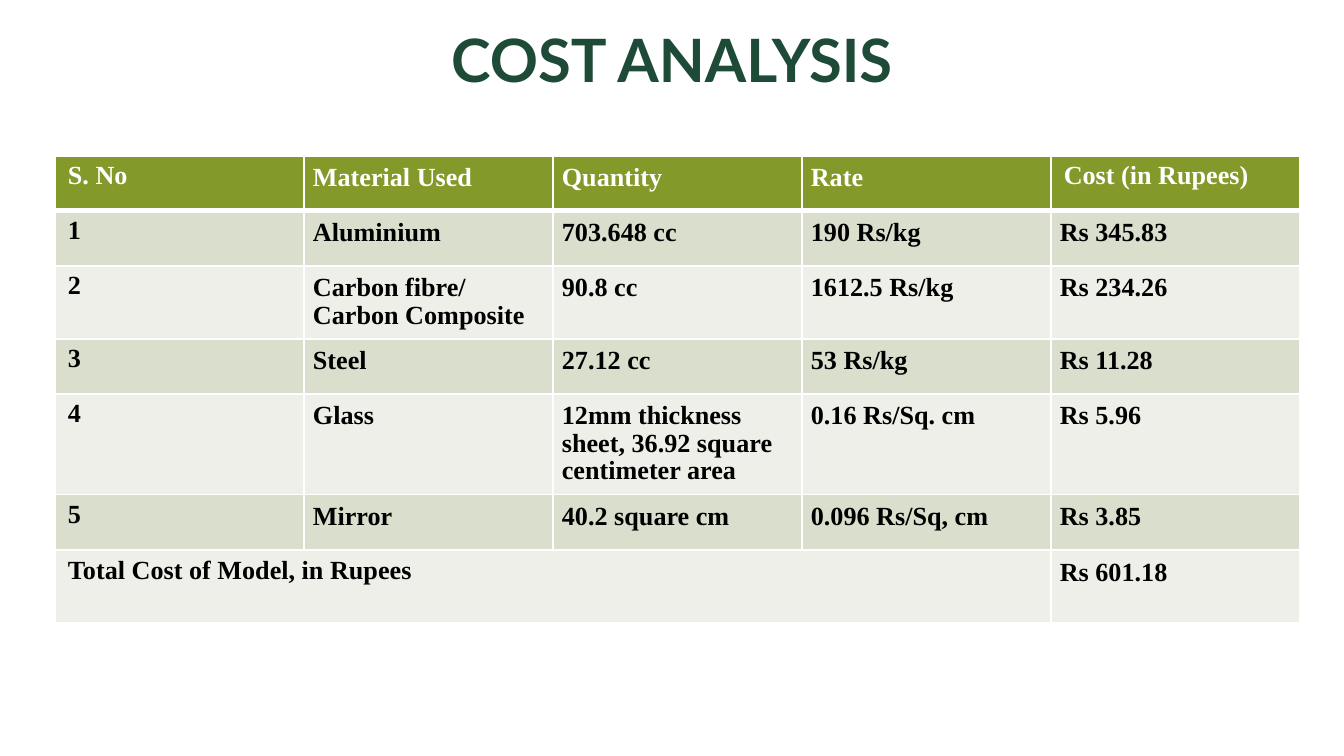
import pptx
import pptx.dml.color
import pptx.enum.text
import pptx.oxml
import pptx.oxml.ns
import pptx.util

EMU_PER_PX = 914400 / 134.4
HEADER_FILL = "83992A"
BAND_FILLS = ["D9DECD", "EDEFE8"]
ROW_HEIGHTS = [55, 55, 55, 55, 56, 56, 73]
COLUMN_WIDTH = 249
COSTS = [
    ["S. No", "Material Used", "Quantity", "Rate", "Cost (in Rupees)"],
    ["1", "Aluminium", "703.648 cc", "190 Rs/kg", "Rs 345.83"],
    ["2", "Carbon fibre/ Carbon Composite", "90.8 cc", "1612.5 Rs/kg", "Rs 234.26"],
    ["3", "Steel", "27.12 cc", "53 Rs/kg", "Rs 11.28"],
    ["4", "Glass", "12mm thickness sheet, 36.92 square centimeter area",
     "0.16 Rs/Sq. cm", "Rs 5.96"],
    ["5", "Mirror", "40.2 square cm", "0.096 Rs/Sq, cm", "Rs 3.85"],
    ["Total Cost of Model, in Rupees", "", "", "", "Rs 601.18"],
]


def px(n):
    return pptx.util.Emu(round(n * EMU_PER_PX))


def rgb(color):
    return pptx.dml.color.RGBColor.from_string(color)


def format_text(p, font, size, color):
    for r in p.runs:
        r.font.name = font
        r.font.size = pptx.util.Pt(size)
        r.font.bold = True
        r.font.color.rgb = rgb(color)


def set_margins(box, horizontal, vertical):
    box.margin_left = box.margin_right = px(horizontal)
    box.margin_top = box.margin_bottom = px(vertical)


def set_borders(cell, color, widths):
    tc_pr = cell._tc.get_or_add_tcPr()
    for i, (side, width) in enumerate(zip(["lnL", "lnR", "lnT", "lnB"], widths)):
        line = pptx.oxml.parse_xml(
            f'<a:{side} {pptx.oxml.ns.nsdecls("a")} w="{pptx.util.Pt(width)}">'
            f'<a:solidFill><a:srgbClr val="{color}"/></a:solidFill></a:{side}>')
        tc_pr.insert(i, line)


def add_title(s, text):
    title = s.shapes.title
    title.left, title.top, title.width, title.height = map(px, (105, 16, 1134, 85))
    tf = title.text_frame
    tf.text = text
    tf.auto_size = pptx.enum.text.MSO_AUTO_SIZE.NONE
    tf.vertical_anchor = pptx.enum.text.MSO_ANCHOR.MIDDLE
    set_margins(tf, 13, 13)
    p = tf.paragraphs[0]
    p.alignment = pptx.enum.text.PP_ALIGN.CENTER
    format_text(p, "Lato", 32, "1E4B38")


def format_cell(cell, text, row, col):
    header = row == 0
    cell.fill.solid()
    cell.fill.fore_color.rgb = rgb(HEADER_FILL if header else BAND_FILLS[(row - 1) % 2])
    if col == 0 or (header and col == 4):
        set_margins(cell, 13, 7)
    else:
        set_margins(cell, 9, 9)
    set_borders(cell, "FFFFFF", [1, 1, 3 if row == 1 else 1, 3 if header else 1])
    p = cell.text_frame.paragraphs[0]
    p.text = text
    p.line_spacing = 0.95
    format_text(p, "Times New Roman", 14, "FFFFFF" if header else "000000")


def add_cost_table(s):
    cols = len(COSTS[0])
    frame = s.shapes.add_table(len(COSTS), cols, px(55), px(156),
                               px(COLUMN_WIDTH * cols), px(sum(ROW_HEIGHTS)))
    table = frame.table
    for column in table.columns:
        column.width = px(COLUMN_WIDTH)
    for row, height in zip(table.rows, ROW_HEIGHTS):
        row.height = px(height)
    for i, texts in enumerate(COSTS):
        for j, text in enumerate(texts):
            format_cell(table.cell(i, j), text, i, j)
    last = len(COSTS) - 1
    table.cell(last, 0).merge(table.cell(last, cols - 2))


def main():
    prs = pptx.Presentation()
    prs.slide_width, prs.slide_height = px(1344), px(756)
    s = prs.slides.add_slide(prs.slide_layouts[5])
    add_title(s, "COST ANALYSIS")
    add_cost_table(s)
    prs.save("out.pptx")


if __name__ == "__main__":
    main()
